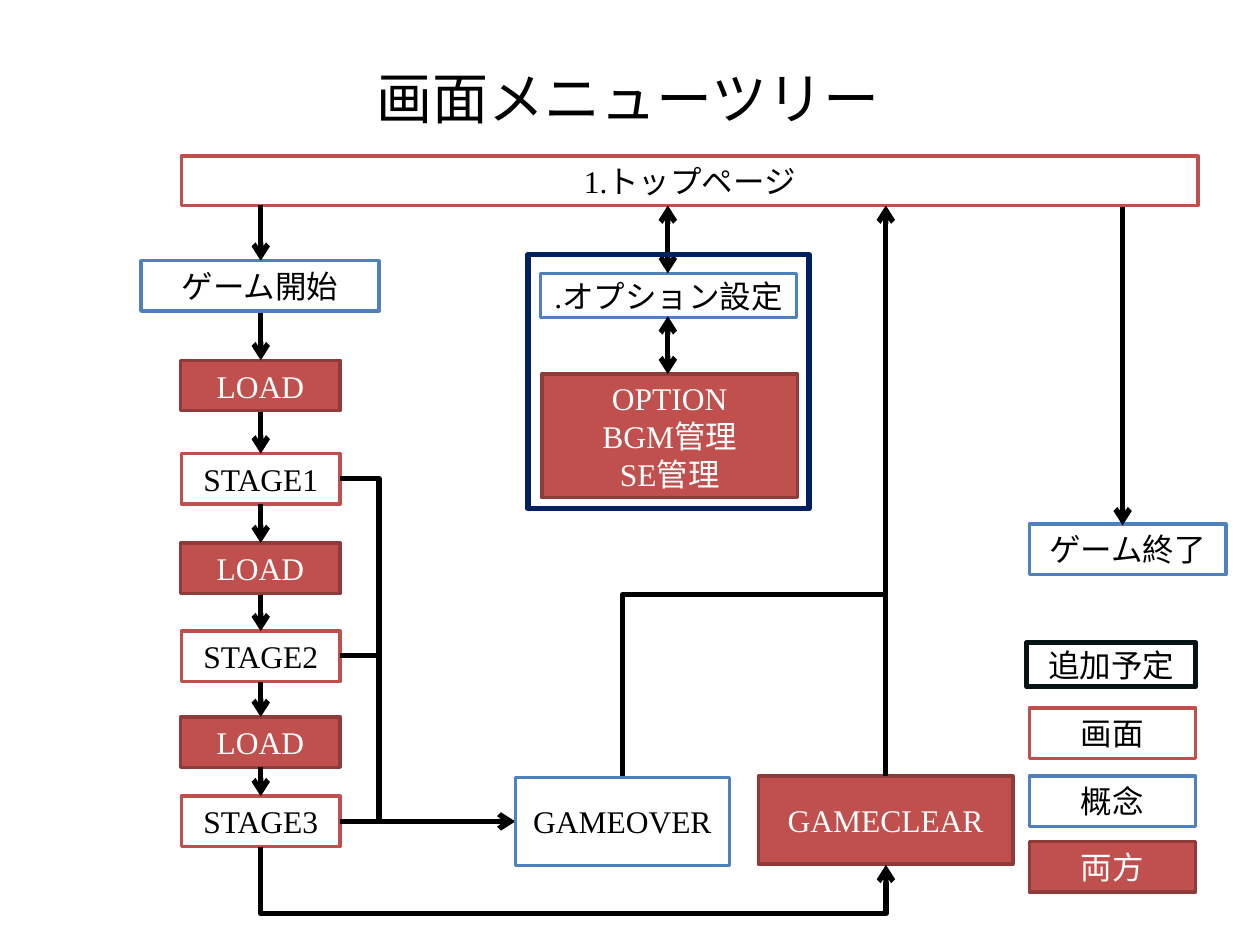
"""Build the screen menu tree slide of a game."""
from lxml.etree import SubElement
from pptx import Presentation
from pptx.dml.color import RGBColor
from pptx.enum.shapes import MSO_CONNECTOR, MSO_SHAPE
from pptx.enum.text import MSO_ANCHOR, PP_ALIGN
from pptx.oxml.ns import qn
from pptx.util import Pt

BLACK, WHITE, RED, BLUE = "000000", "FFFFFF", "C0504D", "4F81BD"
SCREEN = (WHITE, RED, 2, BLACK)
CONCEPT = (WHITE, BLUE, 2, BLACK)
BOTH = (RED, "8E3B39", 2, WHITE)
PLANNED = (None, "071215", 3, BLACK)
GROUP = (None, "002060", 3, BLACK)
color = RGBColor.from_string


def add_box(text, left, top, width, height, style):
    fill, outline, weight, ink = style
    box = page.shapes.add_shape(MSO_SHAPE.RECTANGLE, Pt(left), Pt(top), Pt(width), Pt(height))
    box.shadow.inherit = False
    if fill:
        box.fill.solid()
        box.fill.fore_color.rgb = color(fill)
    else:
        box.fill.background()
    box.line.color.rgb = color(outline)
    box.line.width = Pt(weight)
    frame = box.text_frame
    frame.word_wrap = False
    frame.vertical_anchor = MSO_ANCHOR.MIDDLE
    frame.text = text
    for para in frame.paragraphs:
        para.alignment = PP_ALIGN.CENTER
        para.font.name = "Times New Roman"
        para.font.size = Pt(18)
        para.font.color.rgb = color(ink)


def add_link(x1, y1, x2, y2, ends=("tailEnd",), kind=MSO_CONNECTOR.STRAIGHT):
    link = page.shapes.add_connector(kind, Pt(x1), Pt(y1), Pt(x2), Pt(y2))
    link.line.width = Pt(3)
    link.line.color.rgb = color(BLACK)
    for end in ends:
        SubElement(link.line._get_or_add_ln(), qn(f"a:{end}"), type="arrow")
    SubElement(link._element.spPr, qn("a:effectLst"))
    return link


deck = Presentation()
deck.slide_width, deck.slide_height = Pt(720), Pt(540)
page = deck.slides.add_slide(deck.slide_layouts[6])

title = page.shapes.add_textbox(Pt(82.8), Pt(31.7), Pt(552.2), Pt(47.5))
title.text_frame.word_wrap = True
title.text_frame.vertical_anchor = MSO_ANCHOR.MIDDLE
para = title.text_frame.paragraphs[0]
para.text = "画面メニューツリー"
para.alignment = PP_ALIGN.CENTER
para.font.name = "Calibri"
para.font.size = Pt(32)
para.font.color.rgb = color(BLACK)

add_box("1.トップページ", 103.7, 89.3, 581, 28.1, SCREEN)
add_box("ゲーム開始", 80.6, 149, 136, 28.8, CONCEPT)
add_box("ゲーム終了", 588.2, 299.5, 112.3, 28.8, CONCEPT)
add_box(".オプション設定", 308.9, 156.2, 146.2, 25.2, CONCEPT)
add_box("OPTION\nBGM管理\nSE管理", 309.6, 213.8, 146.2, 70.6, BOTH)
add_box("GAMECLEAR", 433.4, 443.5, 145.4, 50.4, BOTH)

for number, (load_top, stage_top) in enumerate([(205.9, 259.2), (310.3, 360.7), (409.7, 455)], 1):
    add_box("LOAD", 103.2, load_top, 91.2, 28.8, BOTH)
    add_box(f"STAGE{number}", 103.7, stage_top, 90.7, 28.8, SCREEN)

add_box("追加予定", 586.8, 367.2, 96.5, 25.2, PLANNED)
for text, top, style in [("画面", 404.6, SCREEN), ("概念", 443.5, CONCEPT), ("両方", 481, BOTH)]:
    add_box(text, 588.2, top, 95, 28.8, style)

for start, stop in [(117.4, 149), (178.6, 205.9), (235.4, 259.2), (288, 310.3),
                    (339.8, 360.7), (389.5, 409.7), (438.5, 455)]:
    add_link(149, start, 149, stop)
add_link(641.5, 118.1, 641.5, 300.2)
add_link(506.2, 443.5, 506.2, 117.4)
for start, stop in [(117.4, 156.2), (180.7, 213.8)]:
    add_link(381.6, start, 381.6, stop, ("headEnd", "tailEnd"))
for middle in (374.4, 469.4):
    add_link(194.4, middle, 216.7, middle, ())

elbows = [
    ((194.4, 273.6, 294.5, 469.4), ("tailEnd",), "bentConnector3", 22200, {}),
    ((322.4, 310.4, 332.8, 667.6), ("tailEnd",), "bentConnector3", 366900,
     {"rot": "16200000", "flipH": "1"}),
    ((378.75, 316.75, 483.15, 467.25), (), "bentConnector2", None,
     {"rot": "5400000", "flipH": "1", "flipV": "1"}),
]
for bounds, ends, preset, bend, turn in elbows:
    elbow = add_link(*bounds, ends, MSO_CONNECTOR.ELBOW)
    properties = elbow._element.spPr
    for name, value in turn.items():
        properties.find(qn("a:xfrm")).set(name, value)
    geometry = properties.find(qn("a:prstGeom"))
    geometry.set("prst", preset)
    if bend:
        SubElement(geometry.find(qn("a:avLst")), qn("a:gd"), name="adj1", fmla=f"val {bend}")

add_box("", 301.7, 145.4, 160.6, 145.4, GROUP)
add_box("GAMEOVER", 294.5, 444.2, 122.4, 50.4, CONCEPT)

deck.save("out.pptx")
